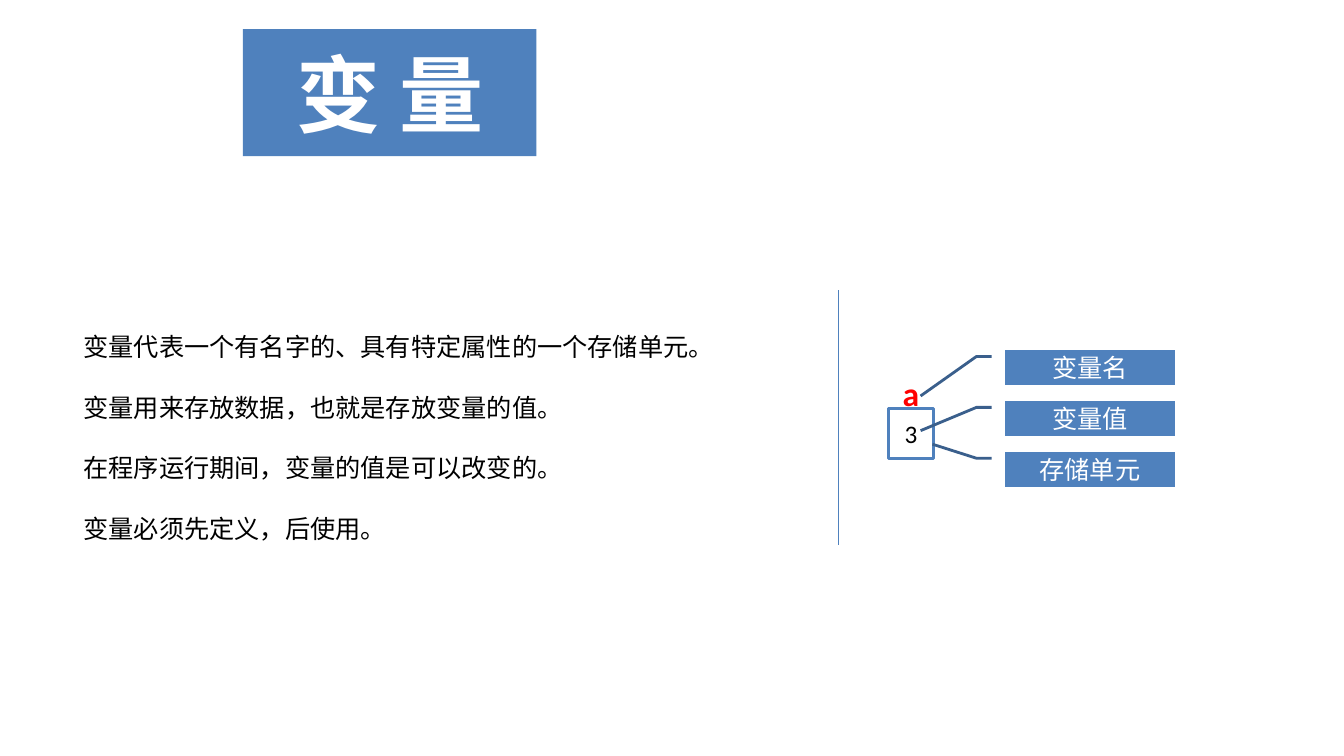
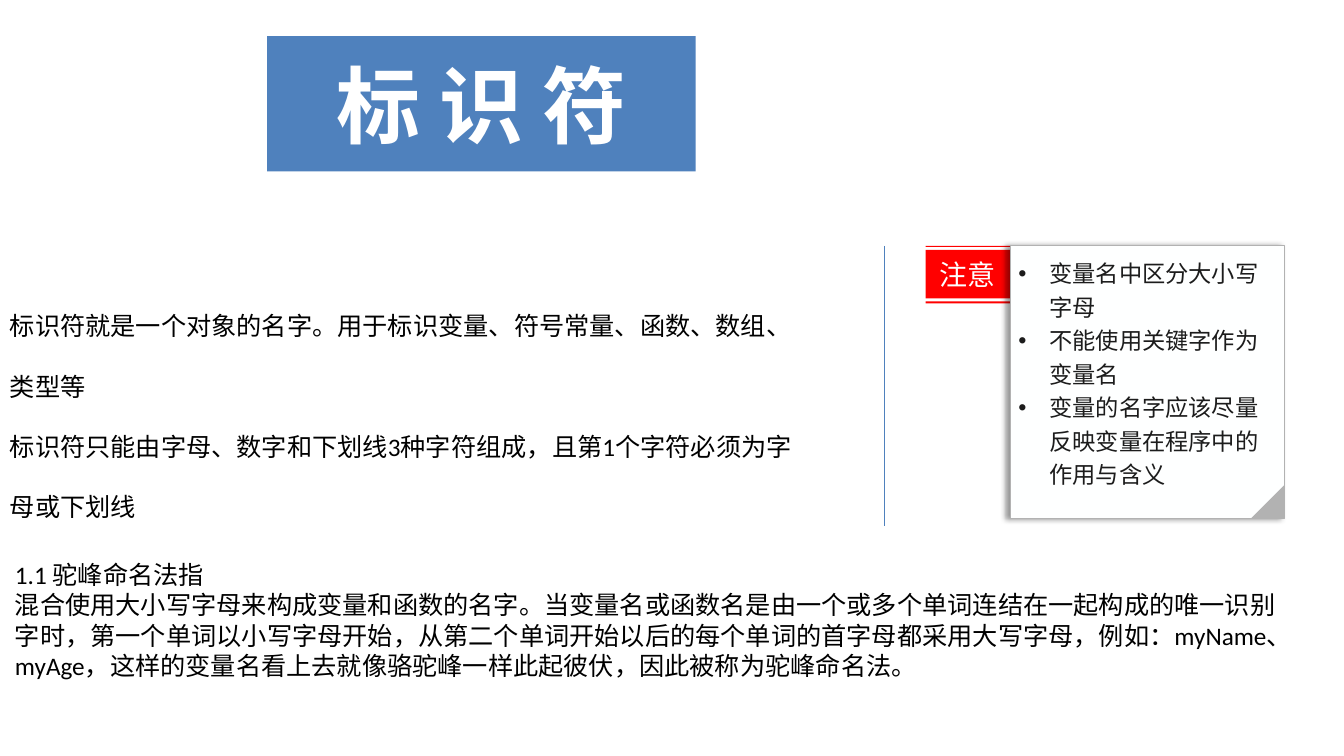
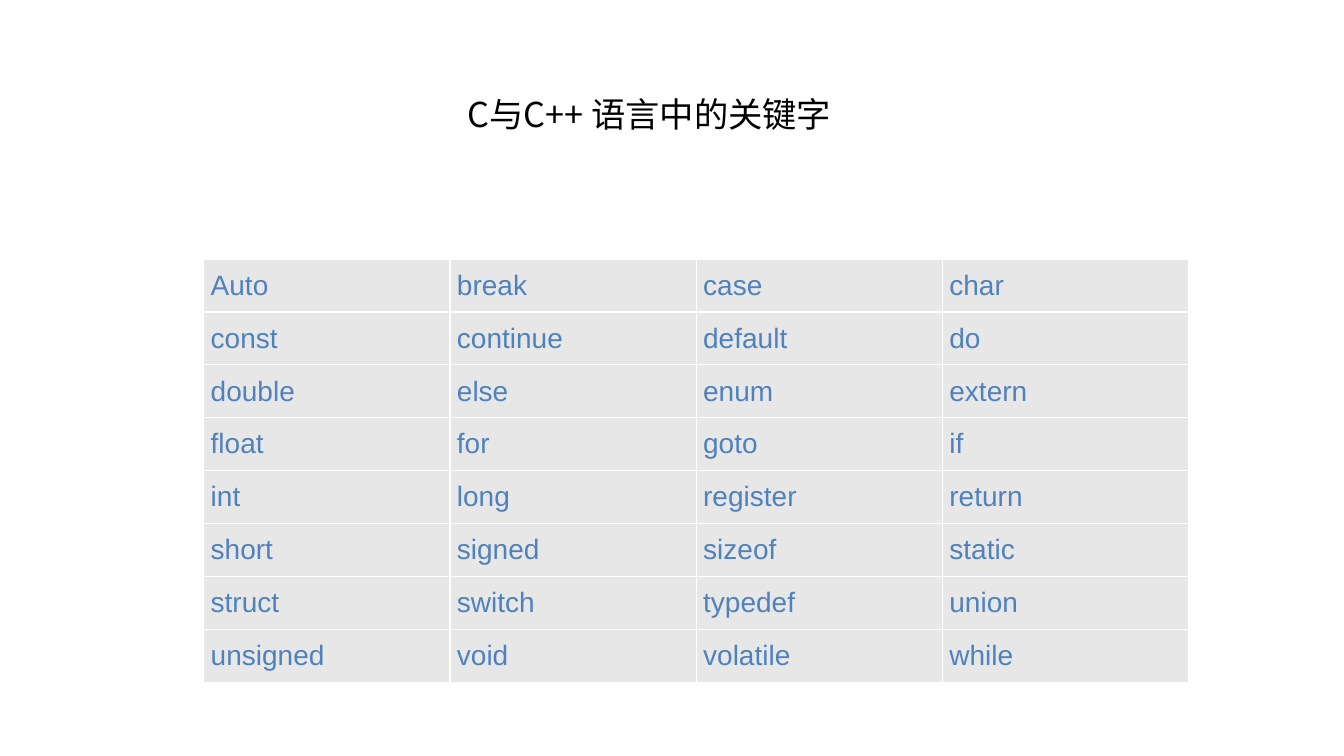
from lxml import etree
from pptx import Presentation
from pptx.dml.color import RGBColor
from pptx.enum import shapes, text
from pptx.oxml import ns
from pptx.util import Inches, Pt

HUE = {"blue": "4F81BD", "navy": "3A5F8C", "red": "FF0000", "white": "FFFFFF",
       "black": "000000", "paper": "FEFFFF", "ink": "1C1C1C", "gray": "B2B2B2",
       "cell": "E7E7E7"}
BODY, HEAD, CODE = "Calibri", "Noto Sans CJK SC", "Arial"
SHAPE, ALIGN = shapes.MSO_SHAPE, text.PP_ALIGN
MID = text.MSO_ANCHOR.MIDDLE

KEYS = """Auto break case char const continue default do
double else enum extern float for goto if
int long register return short signed sizeof static
struct switch typedef union unsigned void volatile while""".split()


def color(name):
    return RGBColor.from_string(HUE[name])


def sub(parent, tag, **attrs):
    return etree.SubElement(parent, ns.qn(tag), attrs)


def inset(item, x, y):
    item.margin_left = item.margin_right = Inches(x)
    item.margin_top = item.margin_bottom = Inches(y)


def write(frame, lines, size=18, hue="black", face=BODY, bold=False,
          align=ALIGN.LEFT, gap=None, bullet=False):
    """Fill a text frame with one paragraph for each line."""
    for i, line in enumerate(lines):
        para = frame.paragraphs[0] if i == 0 else frame.add_paragraph()
        para.text = line
        para.alignment = align
        if gap:
            para.line_spacing = gap
        if bullet:
            props = para._p.get_or_add_pPr()
            props.set("marL", str(Inches(0.31)))
            props.set("indent", str(-Inches(0.31)))
            sub(props, "a:buFont", typeface="Arial")
            sub(props, "a:buChar", char="•")
        font = para.font
        font.size, font.name, font.bold = Pt(size), face, bold
        font.color.rgb = color(hue)


def label(slide, box, lines, wrap=True, grow=True, anchor=None, **style):
    frame = slide.shapes.add_textbox(*map(Inches, box)).text_frame
    frame.word_wrap = wrap
    if grow:
        frame.auto_size = text.MSO_AUTO_SIZE.SHAPE_TO_FIT_TEXT
    if anchor is not None:
        frame.vertical_anchor = anchor
    write(frame, lines, **style)


def paint(shape, fill, line=None, width=2):
    shape.shadow.inherit = False
    shape.fill.solid()
    shape.fill.fore_color.rgb = color(fill)
    if line:
        shape.line.color.rgb = color(line)
        shape.line.width = Pt(width)
    else:
        shape.line.fill.background()


def block(slide, kind, box, fill, line=None, width=2):
    shape = slide.shapes.add_shape(kind, *map(Inches, box))
    paint(shape, fill, line, width)
    shape.text_frame.vertical_anchor = MID
    return shape


def banner(slide, box, title):
    frame = block(slide, SHAPE.RECTANGLE, box, "blue").text_frame
    inset(frame, 0, 0)
    write(frame, [title], 60, "white", HEAD, True, ALIGN.CENTER)


def rule(slide, x, top, end):
    line = slide.shapes.add_connector(
        shapes.MSO_CONNECTOR.STRAIGHT, *map(Inches, (x, top, x, end)))
    line.line.color.rgb = color("blue")
    line.line.width = Pt(0.75)
    sub(line._element.spPr, "a:effectLst")


def callout(slide, box, name, tip):
    """Label with a bent leader that ends at tip (y, x as parts of the box)."""
    shape = block(slide, SHAPE.LINE_CALLOUT_2_NO_BORDER, box, "blue", "navy")
    for i, part in enumerate((0.19, -0.08, 0.19, -0.17) + tip):
        shape.adjustments[i] = part
    write(shape.text_frame, [name], hue="white", align=ALIGN.CENTER)


def ribbon(slide, left, right, bands, name):
    """Tag made of stacked bands, each given as top and bottom."""
    path = None
    for top, end in bands:
        spots = [(Inches(x), Inches(y)) for x, y in
                 ((left, top), (right, top), (right, end), (left, end))]
        if path is None:
            path = slide.shapes.build_freeform(*spots[0], scale=1.0)
        else:
            path.move_to(*spots[0])
        path.add_line_segments(spots[1:], close=True)
    shape = path.convert_to_shape()
    paint(shape, "red")
    shape.text_frame.vertical_anchor = MID
    write(shape.text_frame, [name], 20, "paper", align=ALIGN.CENTER)


def note(slide, box, lines):
    card = block(slide, SHAPE.RECTANGLE, box, "paper", "gray", 0.75)
    glow = sub(card._element.spPr.find(ns.qn("a:effectLst")), "a:outerShdw",
               blurRad=str(Pt(4)), dist=str(Pt(3)), dir="10800000",
               algn="r", rotWithShape="0")
    sub(sub(glow, "a:srgbClr", val=HUE["black"]), "a:alpha", val="40000")
    card.text_frame.vertical_anchor = text.MSO_ANCHOR.TOP
    inset(card.text_frame, 0.08, 0.08)
    write(card.text_frame, lines, 16.6, "ink", gap=1.2, bullet=True)
    x, y, w, h = box
    fold = 0.33
    corner = (x + w - fold, y + h - fold, fold, fold)
    block(slide, SHAPE.RIGHT_TRIANGLE, corner, "gray").rotation = 270


def edge(cell):
    props = cell._tc.get_or_add_tcPr()
    for side in ("a:lnL", "a:lnR", "a:lnT", "a:lnB"):
        line = sub(props, side, w=str(Pt(1)))
        sub(sub(line, "a:solidFill"), "a:srgbClr", val=HUE["white"])


def grid(slide, box, words, cols):
    rows = len(words) // cols
    table = slide.shapes.add_table(rows, cols, *map(Inches, box)).table
    table.first_row = table.horz_banding = False
    for cell, word in zip(table.iter_cells(), words):
        edge(cell)
        cell.fill.solid()
        cell.fill.fore_color.rgb = color("cell")
        cell.vertical_anchor = MID
        inset(cell, 0.07, 0)
        write(cell.text_frame, [word], 20, "blue", CODE, align=ALIGN.JUSTIFY)


def store(slide):
    """Variable page: a named memory cell and its parts."""
    banner(slide, (2.41, 0.29, 2.91, 1.26), "变 量")
    label(slide, (0.73, 2.94, 7.05, 2.52), [
        "变量代表一个有名字的、具有特定属性的一个存储单元。",
        "变量用来存放数据，也就是存放变量的值。",
        "在程序运行期间，变量的值是可以改变的。",
        "变量必须先定义，后使用。"], gap=2.0)
    label(slide, (8.81, 3.65, 0.45, 0.5), ["a"], size=24, hue="red",
          bold=True, align=ALIGN.CENTER)
    unit = block(slide, SHAPE.RECTANGLE, (8.81, 4.05, 0.45, 0.5),
                 "white", "blue")
    write(unit.text_frame, ["3"], align=ALIGN.CENTER)
    parts = (("变量名", (1.31, -0.5)), ("变量值", (0.85, -0.5)),
             ("存储单元", (-0.21, -0.43)))
    for i, (name, tip) in enumerate(parts):
        callout(slide, (9.97, 3.47 + 0.505 * i, 1.68, 0.35), name, tip)
    rule(slide, 8.32, 2.88, 5.41)


def naming(slide):
    rule(slide, 8.77, 2.44, 5.22)
    banner(slide, (2.65, 0.36, 4.25, 1.34), "标 识 符")
    label(slide, (0, 2.73, 8.03, 2.43), [
        "标识符就是一个对象的名字。用于标识变量、符号常量、函数、数组、类型等",
        "标识符只能由字母、数字和下划线3种字符组成，且第1个字符必须为字母或下划线"],
        gap=2.0)
    ribbon(slide, 9.18, 10.02, ((2.99, 3.01), (2.48, 2.96), (2.44, 2.45)),
           "注意")
    note(slide, (10.02, 2.44, 2.72, 2.7), [
        "变量名中区分大小写字母", "不能使用关键字作为变量名",
        "变量的名字应该尽量反映变量在程序中的作用与含义"])
    label(slide, (0.05, 5.5, 12.99, 1.31), [
        "1.1 驼峰命名法指",
        "混合使用大小写字母来构成变量和函数的名字。当变量名或函数名是由一个或多个单词连结在一起构成的唯一识别",
        "字时，第一个单词以小写字母开始，从第二个单词开始以后的每个单词的首字母都采用大写字母，例如：myName、",
        "myAge，这样的变量名看上去就像骆驼峰一样此起彼伏，因此被称为驼峰命名法。"],
        wrap=False)


def words(slide):
    label(slide, (4.54, 0.6, 4.33, 0.97), ["C与C++ 语言中的关键字"],
          grow=False, anchor=MID, size=24.5, face=HEAD, gap=1.2)
    grid(slide, (2.02, 2.57, 9.77, 4.2), KEYS, 4)


def main():
    deck = Presentation()
    deck.slide_width, deck.slide_height = Inches(13.33), Inches(7.5)
    for fill in (store, naming, words):
        fill(deck.slides.add_slide(deck.slide_layouts[6]))
    deck.save("out.pptx")


if __name__ == "__main__":
    main()
